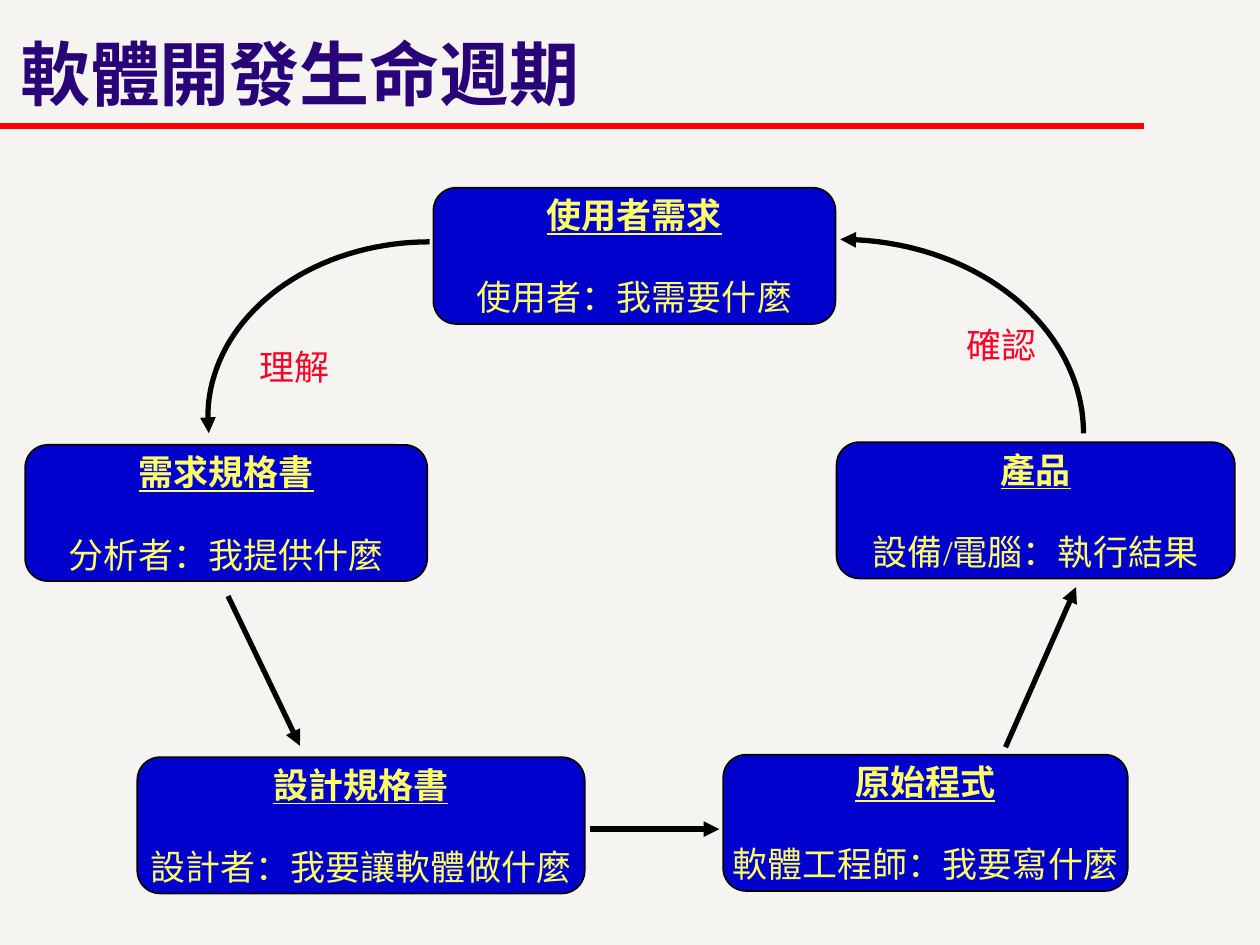
from dataclasses import dataclass
from math import cos, radians, sin

from lxml.etree import SubElement
from pptx import Presentation
from pptx.dml.color import RGBColor
from pptx.enum.shapes import MSO_CONNECTOR as Connector, MSO_SHAPE as Preset
from pptx.enum.text import MSO_ANCHOR as Anchor, PP_ALIGN as Align
from pptx.oxml.ns import qn
from pptx.util import Pt

FONT = "Times New Roman"
BOX_HEIGHT = 77.8
COLORS = {
    "background": "F6F4F0",
    "rule": "FF0000",
    "title": "280478",
    "box": "0000CC",
    "ink": "000000",
    "box_text": "FFFF66",
    "label": "FC0128",
}


@dataclass
class Stage:
    left: float
    top: float
    width: float
    heading: str
    question: str


@dataclass
class Label:
    left: float
    top: float
    width: float
    height: float
    text: str
    size: float = 20
    color: str = "label"


@dataclass
class Straight:
    start: tuple[float, float]
    end: tuple[float, float]
    color: str = "ink"
    arrow: bool = True


@dataclass
class Curve:
    center: tuple[float, float]
    radii: tuple[float, float]
    start_angle: float
    end_angle: float


STAGES = [
    Stage(247.7, 107.3, 229.7, "使用者需求", "使用者：我需要什麼"),
    Stage(14.4, 254.2, 229.7, "需求規格書", "分析者：我提供什麼"),
    Stage(78.5, 432.7, 255.6, "設計規格書", "設計者：我要讓軟體做什麼"),
    Stage(413.3, 431.3, 231.1, "原始程式", "軟體工程師：我要寫什麼"),
    Stage(478.1, 252.7, 227.5, "產品", "設備/電腦：執行結果"),
]
TITLE = Label(0, 0, 640.8, 90, "軟體開發生命週期", 40, "title")
LABELS = [
    Label(136.8, 191.5, 63.4, 35.3, "理解"),
    Label(540.7, 179.3, 63.4, 35.3, "確認"),
]
RULE = Straight((0, 72), (653.8, 72), "rule", False)
ARROWS = [
    Straight((130.3, 340.6), (171.4, 426.2)),
    Straight((337, 473.8), (411.1, 473.8)),
    Straight((574.6, 427), (614.9, 335.5)),
]
CURVES = [
    Curve((245.5, 238.3), (126.7, 100.1), 270, 174.7),
    Curve((480.2, 247.7), (139, 110.9), 360, 270),
]


def rgb(name: str) -> RGBColor:
    """Return the named colour."""
    return RGBColor.from_string(COLORS[name])


def set_font(para, size: float, color: str, bold: bool = False) -> None:
    """Style a whole paragraph."""
    para.font.name = FONT
    para.font.size = Pt(size)
    para.font.bold = bold
    para.font.color.rgb = rgb(color)


def set_frame(frame, wrap: bool, anchor) -> None:
    """Apply the common text margins."""
    frame.word_wrap = wrap
    frame.vertical_anchor = anchor
    frame.margin_left = frame.margin_right = Pt(11.5)
    frame.margin_top = frame.margin_bottom = Pt(5.8)


def style_line(shape, color: str, arrow: bool) -> None:
    """Make a thick line, with an arrowhead at its end if wanted."""
    shape.line.color.rgb = rgb(color)
    shape.line.width = Pt(3)
    if arrow:
        outline = shape.element.spPr.find(qn("a:ln"))
        SubElement(outline, qn("a:tailEnd"), type="triangle")


def draw_straight(page, item: Straight) -> None:
    """Draw a straight line or arrow."""
    ends = [Pt(value) for value in item.start + item.end]
    line = page.shapes.add_connector(Connector.STRAIGHT, *ends)
    style_line(line, item.color, item.arrow)
    SubElement(line.element.spPr, qn("a:effectLst"))


def draw_curve(page, curve: Curve, steps: int = 40) -> None:
    """Draw an elliptical arrow."""
    sweep = curve.end_angle - curve.start_angle
    angles = [radians(curve.start_angle + sweep * i / steps) for i in range(steps + 1)]
    (x, y), (rx, ry) = curve.center, curve.radii
    points = [(Pt(x + rx * cos(a)), Pt(y + ry * sin(a))) for a in angles]
    builder = page.shapes.build_freeform(*points[0])
    builder.add_line_segments(points[1:], close=False)
    shape = builder.convert_to_shape()
    shape.shadow.inherit = False
    shape.fill.background()
    style_line(shape, "ink", True)


def draw_stage(page, stage: Stage) -> None:
    """Draw a rounded box with a heading and a question."""
    box = page.shapes.add_shape(
        Preset.ROUNDED_RECTANGLE,
        Pt(stage.left), Pt(stage.top), Pt(stage.width), Pt(BOX_HEIGHT),
    )
    box.shadow.inherit = False
    box.fill.solid()
    box.fill.fore_color.rgb = rgb("box")
    box.line.color.rgb = rgb("ink")
    box.line.width = Pt(1)
    frame = box.text_frame
    set_frame(frame, False, Anchor.MIDDLE)
    heading, question = frame.paragraphs[0], frame.add_paragraph()
    heading.text, question.text = stage.heading, stage.question
    for para in (heading, question):
        para.alignment = Align.CENTER
        set_font(para, 20, "box_text", bold=para is heading)
    heading.font.underline = True
    question.space_before = Pt(23)


def draw_label(page, label: Label, wrap: bool = False, anchor=Anchor.TOP):
    """Draw a text box and return its paragraph."""
    box = page.shapes.add_textbox(
        Pt(label.left), Pt(label.top), Pt(label.width), Pt(label.height)
    )
    set_frame(box.text_frame, wrap, anchor)
    para = box.text_frame.paragraphs[0]
    para.text = label.text
    set_font(para, label.size, label.color)
    return para


def main() -> None:
    """Build the life cycle slide."""
    deck = Presentation()
    deck.slide_width, deck.slide_height = Pt(720), Pt(540)
    page = deck.slides.add_slide(deck.slide_layouts[6])
    page.background.fill.solid()
    page.background.fill.fore_color.rgb = rgb("background")
    draw_straight(page, RULE)
    title = draw_label(page, TITLE, True, Anchor.MIDDLE)
    title.font.bold = True
    title.line_spacing = 0.85
    for stage in STAGES:
        draw_stage(page, stage)
    for curve in CURVES:
        draw_curve(page, curve)
    for arrow in ARROWS:
        draw_straight(page, arrow)
    for label in LABELS:
        draw_label(page, label)
    deck.save("out.pptx")


if __name__ == "__main__":
    main()
